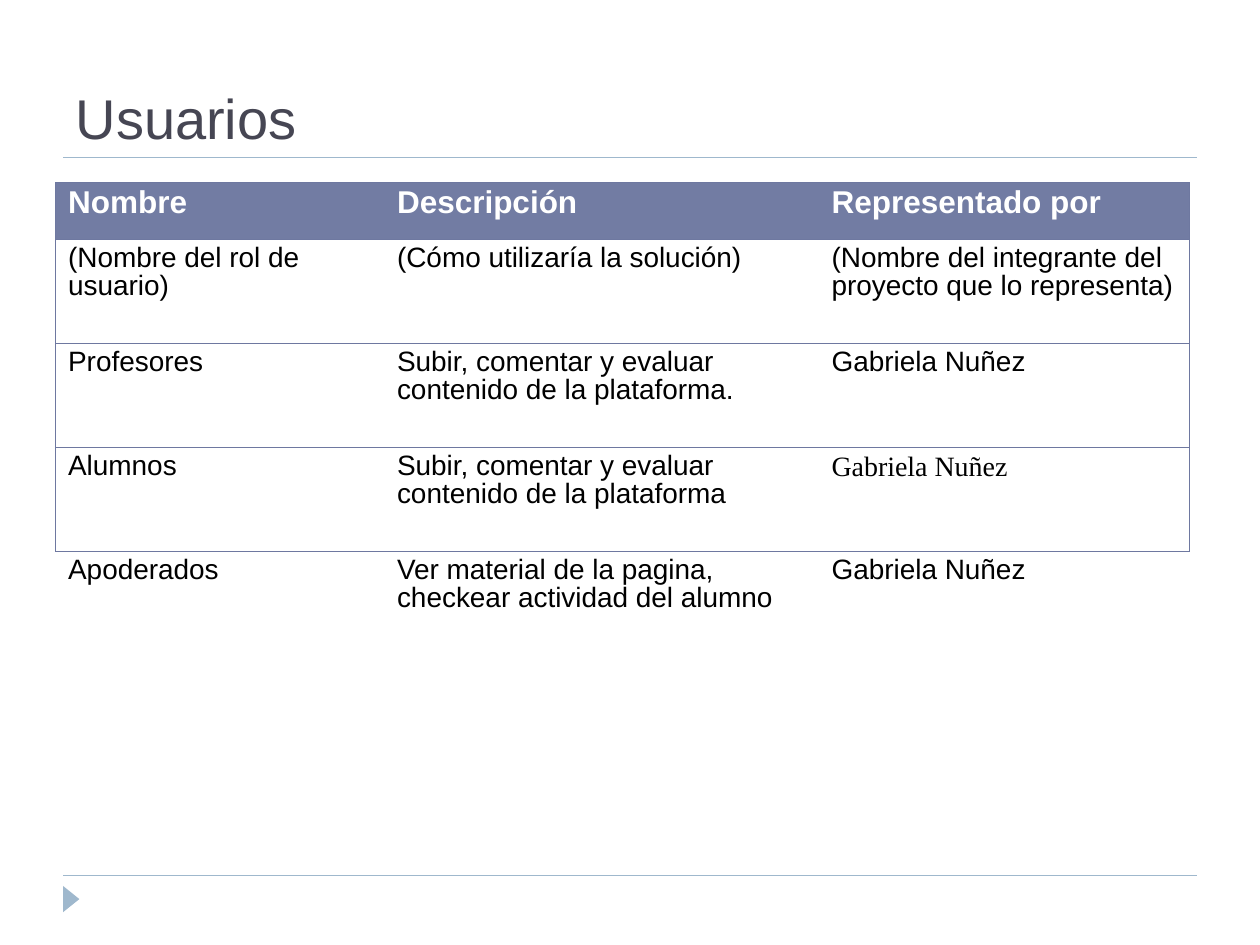
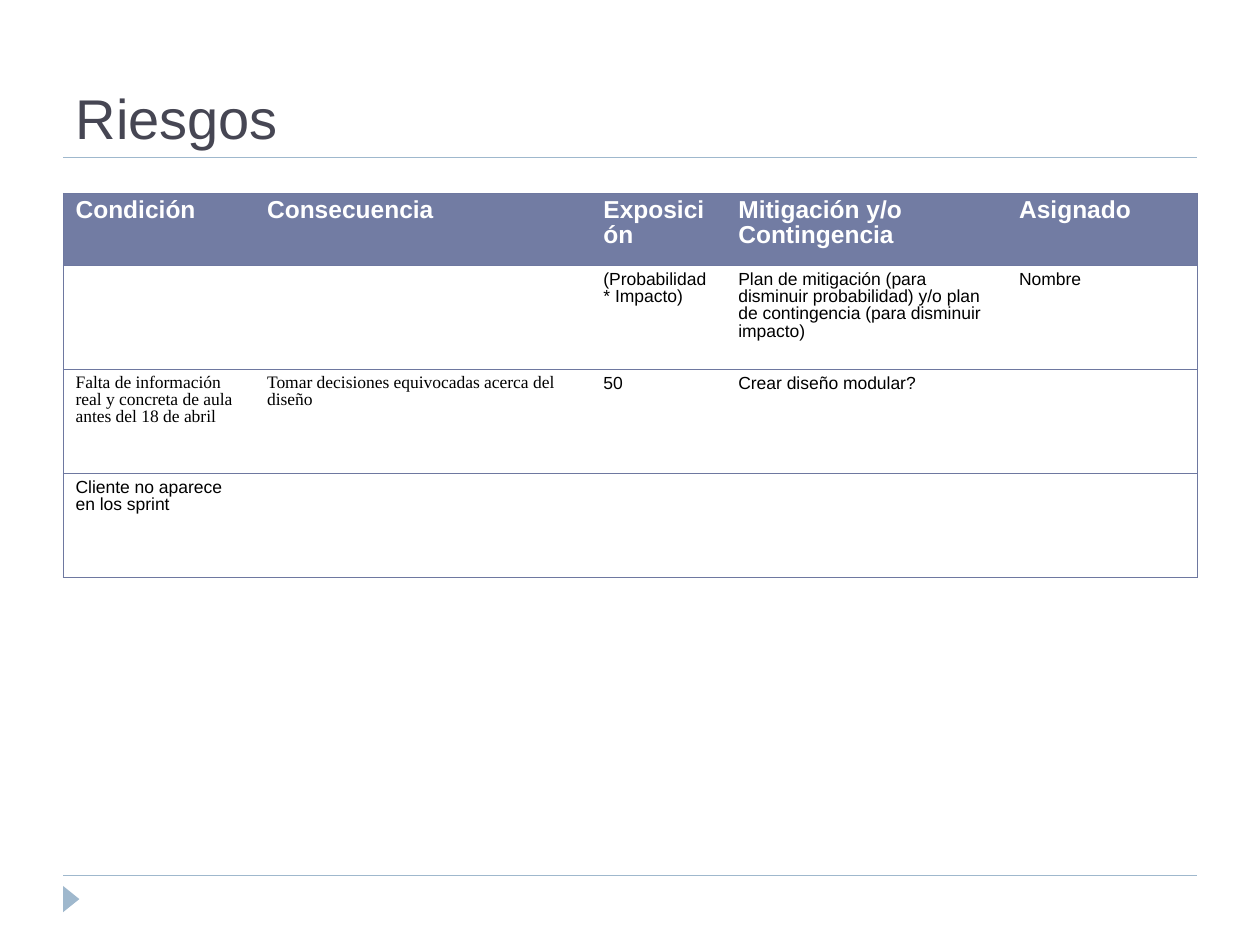
from dataclasses import dataclass

import pptx
import pptx.dml.color
import pptx.enum.shapes
import pptx.enum.text
import pptx.oxml
import pptx.oxml.ns
import pptx.util
from pptx.util import Cm

# Shared style
SANS, SERIF = "Arial", "Times New Roman"
TITLE_INK, RULE, HEADER_FILL, BORDER = "464653", "9FB8CD", "727CA3", "6E78A0"
WHITE, BLACK = "FFFFFF", "000000"
MARGIN, CONTENT_WIDTH = Cm(1.27), Cm(22.86)
RULE_TOPS = (Cm(3.18), Cm(17.65))
BODY_ROW = Cm(2.1)
BORDER_WIDTH = pptx.util.Pt(0.06)


@dataclass(frozen=True)
class SerifText:
    text: str
    spacing: float


@dataclass(frozen=True)
class TableSlide:
    title: str
    left: float
    top: float
    columns: tuple[float, ...]
    header_height: float
    header_size: int
    body_size: int
    rows: tuple[tuple[str | SerifText, ...], ...]
    open_last_row: bool = False


USUARIOS = TableSlide(
    title="Usuarios", left=1.12, top=3.68, columns=(6.63, 8.76, 7.47),
    header_height=1.14, header_size=18, body_size=16, open_last_row=True,
    rows=(
        ("Nombre", "Descripción", "Representado por"),
        ("(Nombre del rol de usuario)", "(Cómo utilizaría la solución)",
         "(Nombre del integrante del proyecto que lo representa)"),
        ("Profesores", "Subir, comentar y evaluar contenido de la plataforma.",
         "Gabriela Nuñez"),
        ("Alumnos", "Subir, comentar y evaluar contenido de la plataforma",
         SerifText("Gabriela Nuñez", 0.93)),
        ("Apoderados", "Ver material de la pagina, checkear actividad del alumno",
         "Gabriela Nuñez"),
    ),
)

RIESGOS = TableSlide(
    title="Riesgos", left=1.27, top=3.89, columns=(3.86, 6.78, 2.72, 5.66, 3.84),
    header_height=1.45, header_size=14, body_size=10,
    rows=(
        ("Condición", "Consecuencia", "Exposición", "Mitigación y/o Contingencia",
         "Asignado"),
        ("", "", "(Probabilidad * Impacto)",
         "Plan de mitigación (para disminuir probabilidad) y/o plan de contingencia "
         "(para disminuir impacto)", "Nombre"),
        (SerifText("Falta de información real y concreta de aula antes del 18 de abril", 0.87),
         SerifText("Tomar decisiones equivocadas acerca del diseño", 0.87),
         "50", "Crear diseño modular?", ""),
        ("Cliente no aparece en los sprint", "", "", "", ""),
    ),
)


def color(value: str) -> pptx.dml.color.RGBColor:
    return pptx.dml.color.RGBColor.from_string(value)


def write_text(frame, text: str, *, size: int, ink: str, font: str = SANS,
               bold: bool = False, spacing: float = 1.0) -> None:
    paragraph = frame.paragraphs[0]
    paragraph.alignment = pptx.enum.text.PP_ALIGN.LEFT
    paragraph.line_spacing = spacing
    run = paragraph.add_run()
    run.text = text
    run.font.name = font
    run.font.size = pptx.util.Pt(size)
    run.font.bold = bold
    run.font.color.rgb = color(ink)


def set_borders(cell, **visible: bool) -> None:
    """Give each side (L, R, T, B) a thin line or none; lines precede the fill."""
    properties = cell._tc.get_or_add_tcPr()
    for position, (side, shown) in enumerate(visible.items()):
        paint = (f'<a:solidFill><a:srgbClr val="{BORDER}"/></a:solidFill>'
                 if shown else "<a:noFill/>")
        properties.insert(position, pptx.oxml.parse_xml(
            f'<a:ln{side} {pptx.oxml.ns.nsdecls("a")} w="{BORDER_WIDTH}">{paint}</a:ln{side}>'))


def add_frame(slide) -> None:
    """Draw the two rules and the footer arrow."""
    for top in RULE_TOPS:
        rule = slide.shapes.add_connector(
            pptx.enum.shapes.MSO_CONNECTOR.STRAIGHT, MARGIN, top, MARGIN + CONTENT_WIDTH, top)
        rule.line.color.rgb = color(RULE)
        rule.line.width = pptx.util.Pt(0.75)
        rule._element.spPr.append(
            pptx.oxml.parse_xml(f'<a:effectLst {pptx.oxml.ns.nsdecls("a")}/>'))
    arrow = slide.shapes.add_shape(
        pptx.enum.shapes.MSO_SHAPE.ISOSCELES_TRIANGLE, Cm(1.17), Cm(17.96), Cm(0.53), Cm(0.33))
    arrow.rotation = 90
    arrow.shadow.inherit = False
    arrow.fill.solid()
    arrow.fill.fore_color.rgb = color(RULE)
    arrow.line.fill.background()


def add_title(slide, text: str) -> None:
    title = slide.shapes.title
    title.left, title.top, title.width, title.height = MARGIN, Cm(0.43), CONTENT_WIDTH, Cm(2.74)
    title.text_frame.auto_size = pptx.enum.text.MSO_AUTO_SIZE.NONE
    title.text_frame.vertical_anchor = pptx.enum.text.MSO_ANCHOR.BOTTOM
    write_text(title.text_frame, text, size=32, ink=TITLE_INK)


def add_table(slide, content: TableSlide) -> None:
    last_row, last_column = len(content.rows) - 1, len(content.columns) - 1
    heights = [Cm(content.header_height)] + [BODY_ROW] * last_row
    table = slide.shapes.add_table(
        last_row + 1, last_column + 1, Cm(content.left), Cm(content.top),
        CONTENT_WIDTH, sum(heights)).table
    table.first_row = table.horz_banding = False
    for column, width in zip(table.columns, content.columns):
        column.width = Cm(width)
    for r, (texts, height) in enumerate(zip(content.rows, heights)):
        table.rows[r].height = height
        header = r == 0
        is_open = content.open_last_row and r == last_row
        for c, entry in enumerate(texts):
            cell = table.cell(r, c)
            if header or is_open:
                cell.fill.solid()
                cell.fill.fore_color.rgb = color(HEADER_FILL if header else WHITE)
            else:
                cell.fill.background()
            set_borders(cell, L=c == 0 and not is_open, R=c == last_column and not is_open,
                        T=True, B=not is_open)
            if not entry:
                continue
            serif = isinstance(entry, SerifText)
            write_text(cell.text_frame, entry.text if serif else entry,
                       size=content.header_size if header else content.body_size,
                       ink=WHITE if header else BLACK, bold=header,
                       font=SERIF if serif else SANS,
                       spacing=entry.spacing if serif else 0.89)


def main() -> None:
    deck = pptx.Presentation()
    deck.slide_width, deck.slide_height = Cm(25.4), Cm(19.05)
    title_only = deck.slide_layouts[5]
    for content in (USUARIOS, RIESGOS):
        slide = deck.slides.add_slide(title_only)
        add_frame(slide)
        add_title(slide, content.title)
        add_table(slide, content)
    deck.save("out.pptx")


if __name__ == "__main__":
    main()
